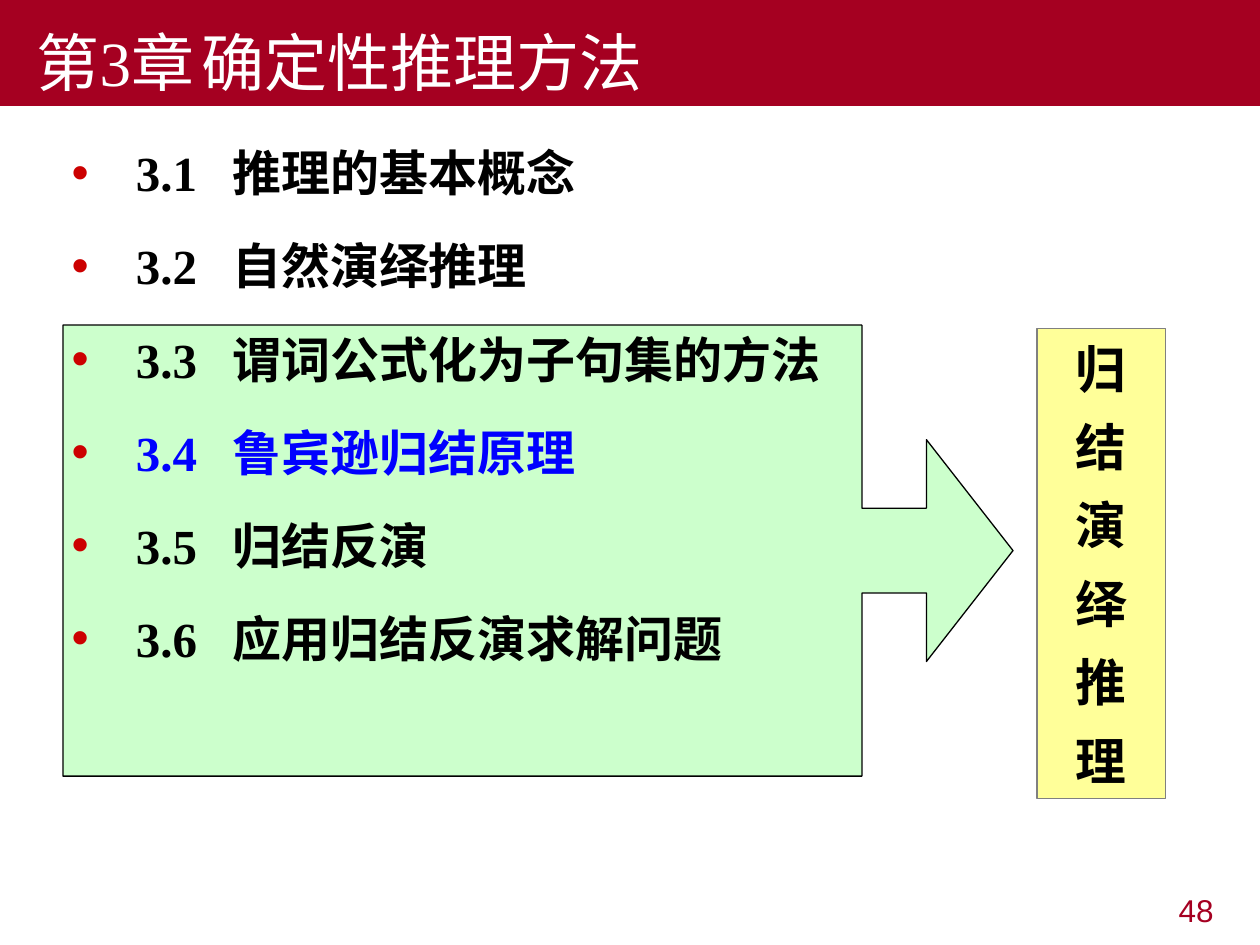
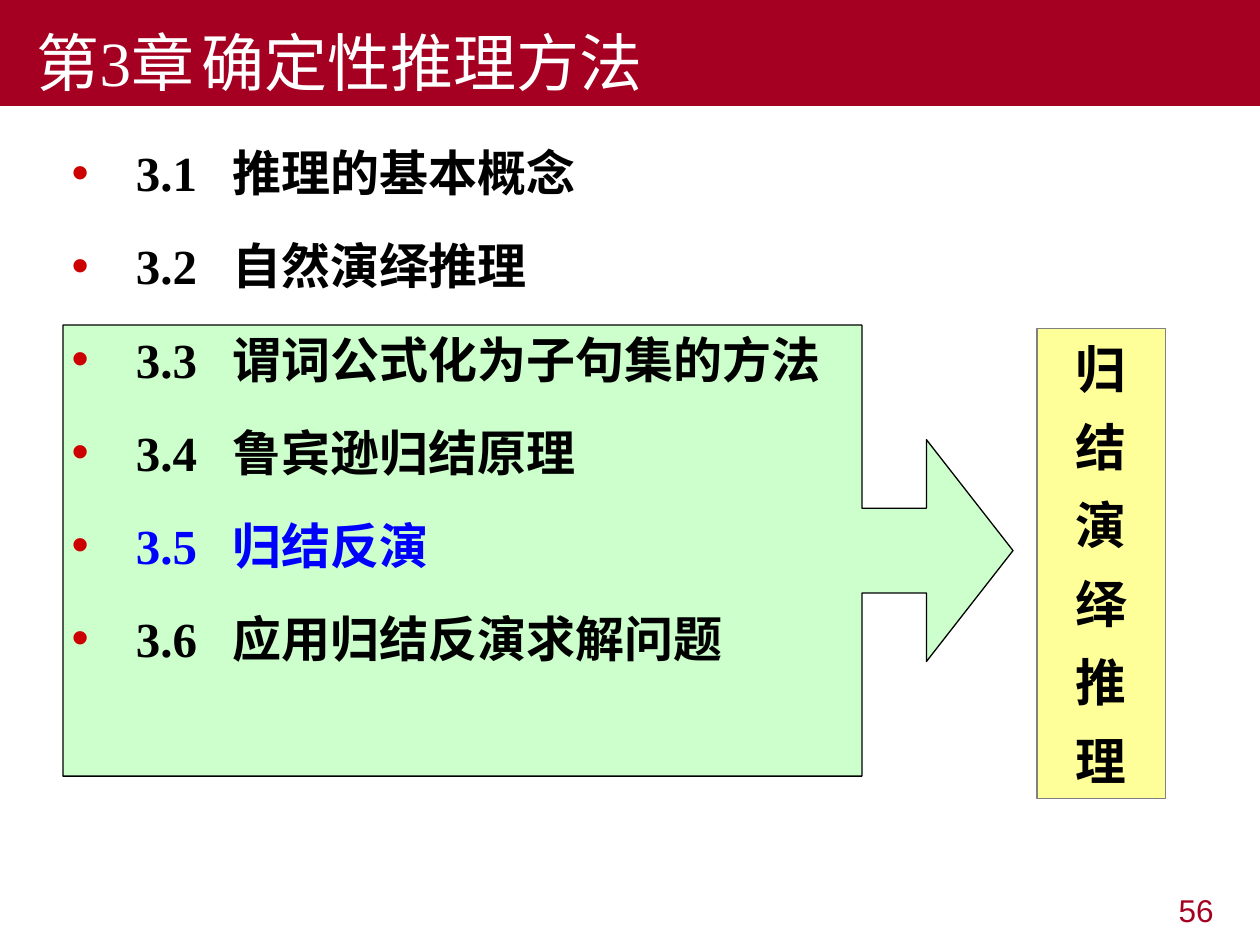
from lxml import etree
from pptx import Presentation
from pptx.dml.color import RGBColor
from pptx.enum.shapes import MSO_SHAPE
from pptx.enum.text import MSO_ANCHOR, MSO_AUTO_SIZE, PP_ALIGN
from pptx.oxml.ns import qn
from pptx.util import Inches, Pt

CALLOUT, RECTANGLE = MSO_SHAPE.RIGHT_ARROW_CALLOUT, MSO_SHAPE.RECTANGLE
BOTTOM, MIDDLE = MSO_ANCHOR.BOTTOM, MSO_ANCHOR.MIDDLE
LEFT, CENTER, RIGHT = PP_ALIGN.LEFT, PP_ALIGN.CENTER, PP_ALIGN.RIGHT
NO_FIT = MSO_AUTO_SIZE.NONE

WIDTH, HEIGHT = 10, 7.5
SERIF, SANS = "Times New Roman", "Arial"
COLORS = {
    "band": "A50021", "title": "FFFFFF", "text": "000000", "current": "0000FF",
    "bullet": "CC0000", "callout": "CCFFCC", "label": "FFFF99", "label_line": "808080",
}
CHAPTER = "第3章\t确定性推理方法"
SECTIONS = [
    ("3.1", "推理的基本概念"),
    ("3.2", "自然演绎推理"),
    ("3.3", "谓词公式化为子句集的方法"),
    ("3.4", "鲁宾逊归结原理"),
    ("3.5", "归结反演"),
    ("3.6", "应用归结反演求解问题"),
]
LABEL = "归结演绎推理"
PAGES = [("48", "3.4"), ("56", "3.5")]  # page number, current section


def rgb(name):
    return RGBColor.from_string(COLORS[name])


def set_font(para, name, size, color, bold=False):
    font = para.font
    font.name, font.size, font.bold = name, Pt(size), bold
    font.color.rgb = rgb(color)


def set_indent(para, left, first=0):
    props = para._p.get_or_add_pPr()
    props.set("marL", str(Inches(left)))
    props.set("indent", str(Inches(first)))


def add_bullet(para):
    props = para._p.get_or_add_pPr()
    color = etree.SubElement(props, qn("a:buClr"))
    etree.SubElement(color, qn("a:srgbClr"), val=COLORS["bullet"])
    etree.SubElement(props, qn("a:buFont"), typeface=SANS)
    etree.SubElement(props, qn("a:buChar"), char="•")


def add_tab(para, position):
    tabs = etree.SubElement(para._p.get_or_add_pPr(), qn("a:tabLst"))
    etree.SubElement(tabs, qn("a:tab"), pos=str(Inches(position)), algn="l")


def paragraphs(frame, texts, gap):
    """Yield one paragraph per text, with a gap between neighbours."""
    for index, text in enumerate(texts):
        para = frame.add_paragraph() if index else frame.paragraphs[0]
        para.text = text
        para.space_before = Pt(gap if index else 0)
        yield para


def add_text_box(page, left, top, width, height):
    box = page.shapes.add_textbox(Inches(left), Inches(top), Inches(width), Inches(height))
    box.text_frame.word_wrap = True
    return box.text_frame


def add_panel(page, kind, left, top, width, height, fill, line):
    panel = page.shapes.add_shape(
        kind, Inches(left), Inches(top), Inches(width), Inches(height))
    panel.shadow.inherit = False
    panel.fill.solid()
    panel.fill.fore_color.rgb = rgb(fill)
    panel.line.color.rgb = rgb(line)
    panel.line.width = Pt(0.75)
    return panel


def add_title_band(page):
    band = page.shapes.title
    band.left = band.top = 0
    band.width, band.height = Inches(WIDTH), Inches(0.84)
    band.fill.solid()
    band.fill.fore_color.rgb = rgb("band")
    frame = band.text_frame
    frame.text = CHAPTER
    frame.auto_size, frame.vertical_anchor = NO_FIT, BOTTOM
    para = frame.paragraphs[0]
    para.alignment = LEFT
    set_indent(para, 0, 0.19)
    add_tab(para, 1.91)
    set_font(para, SERIF, 36, "title")


def add_page_number(page, number):
    para = add_text_box(page, 7.4, 7.02, 2.33, 0.52).paragraphs[0]
    para.text = number
    para.alignment = RIGHT
    set_font(para, SANS, 18, "band")


def add_callout(page):
    callout = add_panel(page, CALLOUT, 0.5, 2.58, 7.54, 3.58, "callout", "text")
    for index, share in enumerate((0.188, 0.246, 0.192, 0.841)):
        callout.adjustments[index] = share


def add_vertical_label(page):
    """Stack the label's characters, one to a paragraph."""
    panel = add_panel(page, RECTANGLE, 8.23, 2.61, 1.02, 3.73, "label", "label_line")
    frame = panel.text_frame
    frame.vertical_anchor = MIDDLE
    for para in paragraphs(frame, LABEL, 10):
        para.alignment = CENTER
        set_font(para, SANS, 29, "text", bold=True)


def add_outline(page, current):
    frame = add_text_box(page, 0.47, 0.99, 9.45, 5.91)
    lines = [f"{number}\t{name}" for number, name in SECTIONS]
    for para, (number, _) in zip(paragraphs(frame, lines, 12.9), SECTIONS):
        para.line_spacing = 1.2
        set_indent(para, 0.51, -0.51)
        add_bullet(para)
        add_tab(para, 1.28)
        set_font(para, SERIF, 28, "current" if number == current else "text", bold=True)


def main():
    deck = Presentation()
    deck.slide_width, deck.slide_height = Inches(WIDTH), Inches(HEIGHT)
    title_only = deck.slide_layouts[5]
    for number, current in PAGES:
        page = deck.slides.add_slide(title_only)
        add_page_number(page, number)
        add_callout(page)
        add_vertical_label(page)
        add_title_band(page)
        add_outline(page, current)
    deck.save("out.pptx")


if __name__ == "__main__":
    main()
